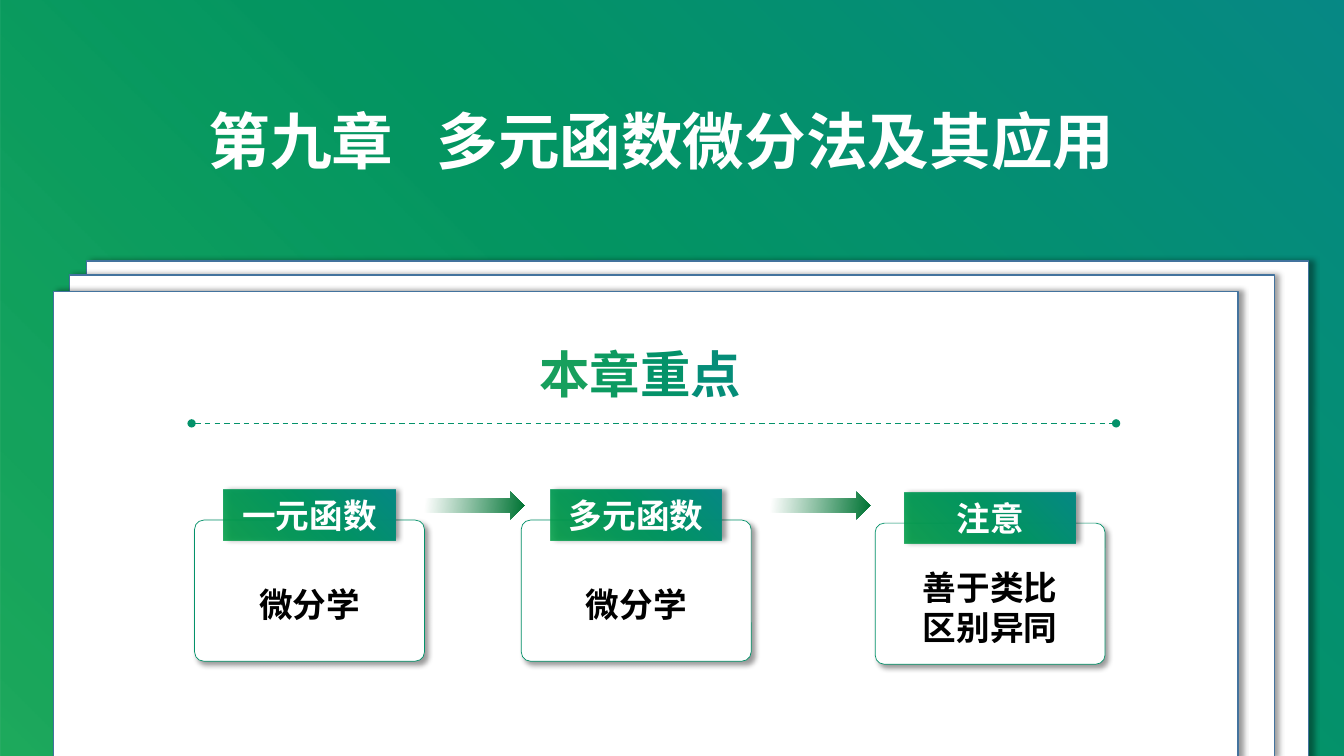
from lxml.etree import SubElement
from pptx import Presentation
from pptx.dml.color import RGBColor
from pptx.enum.dml import MSO_LINE
from pptx.enum.shapes import MSO_CONNECTOR, MSO_SHAPE
from pptx.enum.text import MSO_ANCHOR, MSO_AUTO_SIZE, PP_ALIGN
from pptx.oxml import parse_xml
from pptx.oxml.ns import nsdecls, qn
from pptx.util import Inches, Pt

# Content
TITLE = ("第九章", "多元函数微分法及其应用")
FOCUS = [("本", "179F5D"), ("章", "0C9A60"), ("重", "049269"), ("点", "058D78")]
CARDS = [  # left, top, tag, lines
    (1.93, 5.16, "一元函数", ["微分学"]),
    (5.17, 5.16, "多元函数", ["微分学"]),
    (8.68, 5.19, "注意", ["善于类比", "区别异同"]),
]
PAPERS = [(0.86, 2.59, 12.12, 4.93), (0.69, 2.73, 11.95, 4.78), (0.53, 2.89, 11.75, 4.63)]
ARROWS = [4.18, 7.61]
GREENS = [(0, "009E47", 88), (55, "039463", 100), (100, "068885", 100)]
FADE = [(4, "FFFFFF", 100), (100, "007434", 100)]
CORNER = '<a:path path="circle"><a:fillToRect t="100000" r="100000"/></a:path>'
SLANT = '<a:lin ang="300000" scaled="0"/>'
CARD_W, CARD_H, TAG_W, TAG_H = 2.28, 1.4, 1.7, 0.5
SANS = "Noto Sans CJK SC"


def color(code):
    return RGBColor.from_string(code)


def blend(shape, stops, way):
    marks = "".join(
        f'<a:gs pos="{pos * 1000}"><a:srgbClr val="{code}">'
        f'<a:alpha val="{alpha * 1000}"/></a:srgbClr></a:gs>'
        for pos, code, alpha in stops)
    grad = parse_xml(f'<a:gradFill {nsdecls("a")} rotWithShape="1">'
                     f'<a:gsLst>{marks}</a:gsLst>{way}</a:gradFill>')
    shape._element.spPr.find(qn("a:prstGeom")).addnext(grad)


def shade(shape, angle):
    effect = shape._element.spPr.find(qn("a:effectLst"))
    effect.append(parse_xml(
        f'<a:outerShdw {nsdecls("a")} blurRad="{Pt(4)}" dist="{Pt(3)}" dir="{angle * 60000}" '
        'algn="l" rotWithShape="0"><a:srgbClr val="000000"><a:alpha val="40000"/>'
        '</a:srgbClr></a:outerShdw>'))


def draw(kind, box, fill=None, line=None, width=1):
    shape = slide.shapes.add_shape(kind, *map(Inches, box))
    shape.shadow.inherit = False
    if fill:
        shape.fill.solid()
        shape.fill.fore_color.rgb = color(fill)
    if line:
        shape.line.color.rgb = color(line)
        shape.line.width = Pt(width)
    else:
        shape.line.fill.background()
    return shape


def add_run(para, text, size, code, face="Calibri"):
    run = para.add_run()
    run.text = text
    run.font.size = Pt(size)
    run.font.bold = True
    run.font.name = face
    run.font.color.rgb = color(code)
    run.font._element.find(qn("a:latin")).addnext(
        parse_xml(f'<a:ea {nsdecls("a")} typeface="{SANS}"/>'))


def write(shape, lines, align=PP_ALIGN.CENTER):
    frame = shape.text_frame
    frame.word_wrap = True
    frame.auto_size = MSO_AUTO_SIZE.NONE
    frame.vertical_anchor = MSO_ANCHOR.MIDDLE
    for i, runs in enumerate(lines):
        para = frame.add_paragraph() if i else frame.paragraphs[0]
        para.alignment = align
        for run in runs:
            add_run(para, *run)


deck = Presentation()
deck.slide_width, deck.slide_height = Inches(13.33), Inches(7.5)
slide = deck.slides.add_slide(deck.slide_layouts[5])

# Green backdrop and stacked papers
blend(draw(MSO_SHAPE.RECTANGLE, (0, 0, 13.33, 7.52)), GREENS, CORNER)
for box in PAPERS:
    shade(draw(MSO_SHAPE.RECTANGLE, box, "FFFFFF", "43739E"), 0)

# Chapter title, with a tab between number and name
title = slide.shapes.title
title.left, title.top, title.width, title.height = map(Inches, (1.97, 0.97, 9.39, 0.84))
tabs = SubElement(title.text_frame.paragraphs[0]._p.get_or_add_pPr(), qn("a:tabLst"))
SubElement(tabs, qn("a:tab"), pos=str(Inches(2.26)), algn="l")
write(title, [[("\t".join(TITLE), 44, "FFFFFF", SANS)]], PP_ALIGN.LEFT)
slide.shapes._spTree.append(title._element)

# Focus heading and dashed rule
head = slide.shapes.add_textbox(*map(Inches, (4.85, 3.3, 3, 0.8)))
write(head, [[(char, 36, code, SANS) for char, code in FOCUS]])
rule = slide.shapes.add_connector(MSO_CONNECTOR.STRAIGHT, *map(Inches, (1.9, 4.2, 11.07, 4.2)))
rule.line.color.rgb = color("04926A")
rule.line.width = Pt(1)
rule.line.dash_style = MSO_LINE.DASH
for end in ("a:headEnd", "a:tailEnd"):
    SubElement(rule.line._get_or_add_ln(), qn(end), type="oval")
SubElement(rule._element.spPr, qn("a:effectLst"))

# Cards with tags
for left, top, name, lines in CARDS:
    card = draw(MSO_SHAPE.ROUNDED_RECTANGLE, (left, top, CARD_W, CARD_H), "FFFFFF", "04926A", 0.5)
    card.adjustments[0] = 0.065
    shade(card, 45)
    tag = draw(MSO_SHAPE.RECTANGLE, (left + (CARD_W - TAG_W) / 2, top - 0.3, TAG_W, TAG_H))
    blend(tag, GREENS, CORNER)
    shade(tag, 0)
    write(tag, [[(name, 24, "FFFFFF")]])
    body = slide.shapes.add_textbox(*map(Inches, (left, top + 0.37, CARD_W, 0.92)))
    write(body, [[(line, 24, "000000")] for line in lines])

# Arrows between cards
for left in ARROWS:
    blend(draw(MSO_SHAPE.RIGHT_ARROW, (left, 4.88, 1.02, 0.27)), FADE, SLANT)

deck.save("out.pptx")
